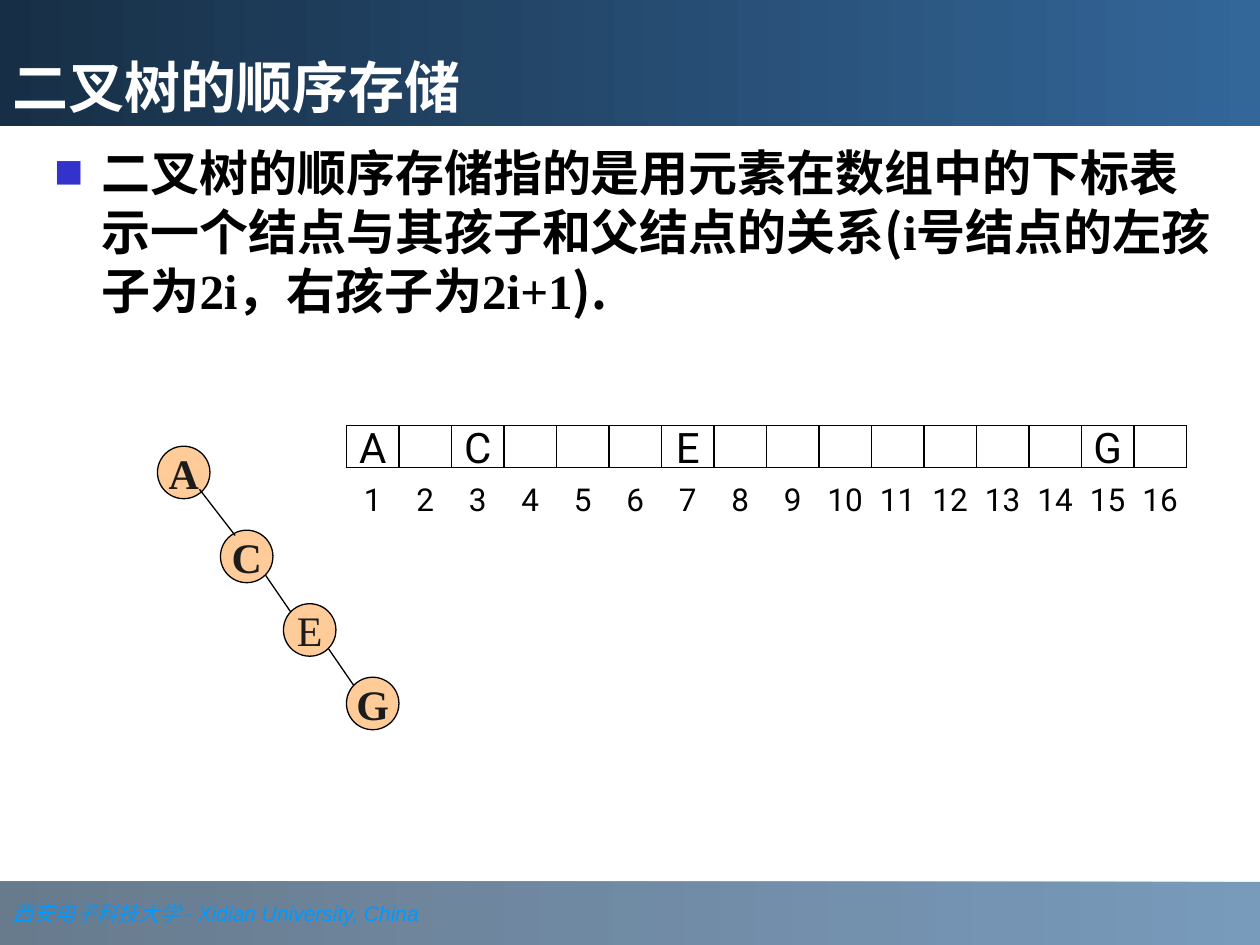
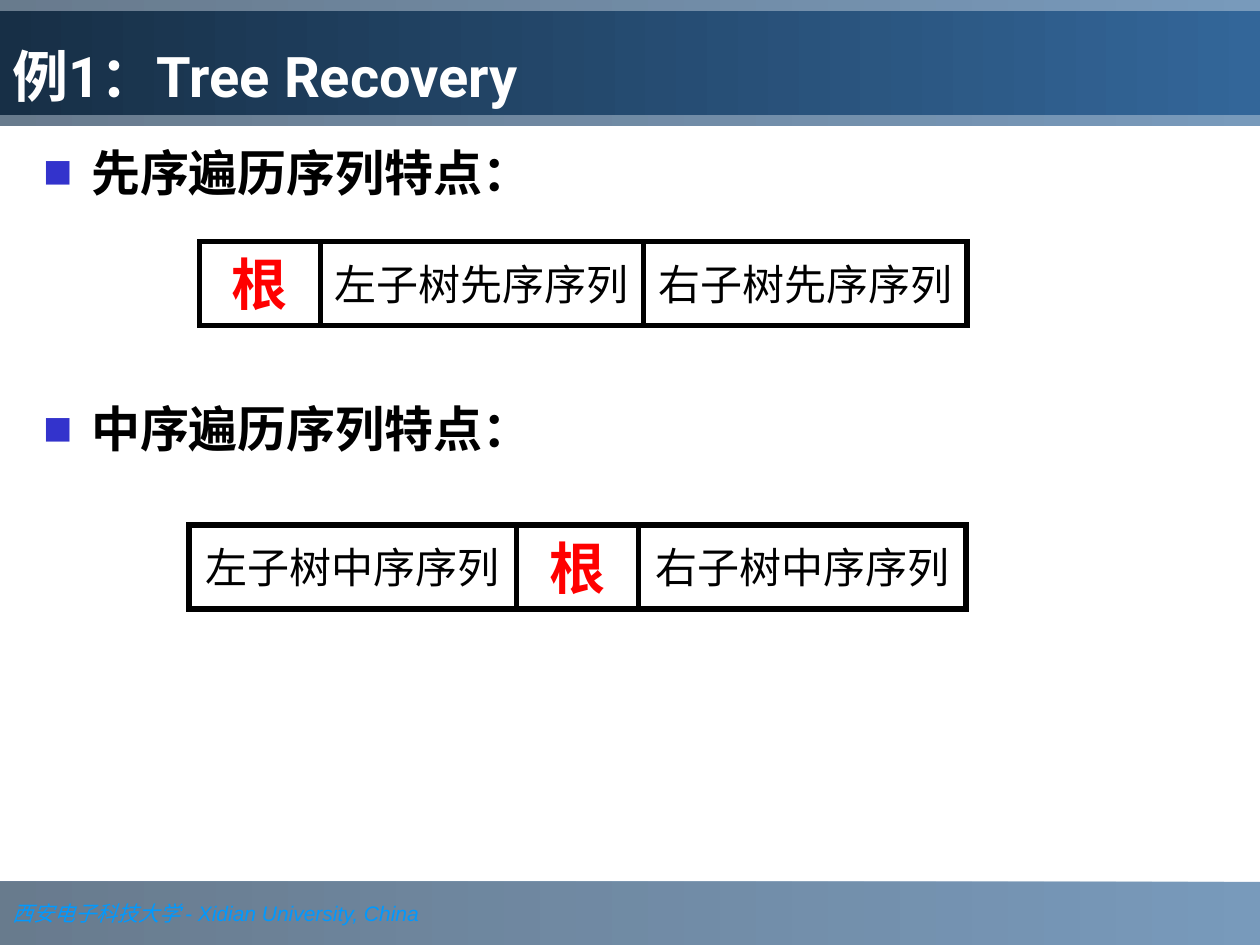
import pptx
import pptx.util
import pptx.dml.color
import pptx.enum.shapes
import pptx.enum.text
import pptx.oxml
import pptx.oxml.ns
from lxml import etree

RGB = pptx.dml.color.RGBColor
BLUE = RGB(0x33, 0x66, 0x99)
BAND_NAVY = RGB(0x1B, 0x37, 0x53)
TITLE_NAVY = RGB(0x17, 0x2F, 0x46)
FOOTER_BLUE = RGB(0x00, 0x99, 0xFF)
BULLET_BLUE = RGB(0x33, 0x33, 0xCC)
NODE_PEACH = RGB(0xFF, 0xCC, 0x99)
NODE_TEXT = RGB(0x1C, 0x1C, 0x1C)
BLACK = RGB(0, 0, 0)
WHITE = RGB(255, 255, 255)
RED = RGB(255, 0, 0)

SANS = "Roboto"
SERIF = "Times New Roman"
CJK = "Noto Sans CJK SC"

EMU_PER_PX = 7620  # 120 px to the inch
SLIDE_W, SLIDE_H = 1200, 900

SHAPE = pptx.enum.shapes.MSO_SHAPE
ALIGN = pptx.enum.text.PP_ALIGN
ANCHOR = pptx.enum.text.MSO_ANCHOR


def px(*lengths):
    return [pptx.util.Emu(length * EMU_PER_PX) for length in lengths]


def add_run(paragraph, text, size, font, color, bold=False, italic=False):
    run = paragraph.add_run()
    run.text = text
    run.font.size = pptx.util.Pt(size)
    run.font.name = font
    run.font.color.rgb = color
    run.font.bold = bold
    run.font.italic = italic


def fill_gradient(shape, right, left, opacity=100):
    """Blend from left to right; opacity is a percentage."""
    shape.fill.gradient()
    shape.fill.gradient_angle = 180
    for stop, color in zip(shape.fill.gradient_stops, (right, left)):
        stop.color.rgb = color
    if opacity < 100:
        for color in shape._element.spPr.iter(pptx.oxml.ns.qn("a:srgbClr")):
            alpha = etree.SubElement(color, pptx.oxml.ns.qn("a:alpha"))
            alpha.set("val", str(opacity * 1000))


def add_box(shapes, kind, box, fill=None, line_width=0.75):
    shape = shapes.add_shape(kind, *px(*box))
    shape.shadow.inherit = False
    if fill is None:
        shape.fill.background()
    else:
        shape.fill.solid()
        shape.fill.fore_color.rgb = fill
    shape.line.color.rgb = BLACK
    shape.line.width = pptx.util.Pt(line_width)
    miter = etree.SubElement(shape.line._get_or_add_ln(), pptx.oxml.ns.qn("a:miter"))
    miter.set("lim", "800000")
    return shape


def write_label(shape, text, size, font, color, bold=False):
    """Centre one line of text, with no side margins so that it fits narrow cells."""
    frame = shape.text_frame
    frame.word_wrap = False
    frame.margin_left = frame.margin_right = 0
    frame.vertical_anchor = ANCHOR.MIDDLE
    frame.paragraphs[0].alignment = ALIGN.CENTER
    add_run(frame.paragraphs[0], text, size, font, color, bold)


def add_band(slide, top, height):
    band = slide.shapes.add_shape(SHAPE.RECTANGLE, *px(0, top, SLIDE_W, height))
    band.shadow.inherit = False
    band.line.fill.background()
    fill_gradient(band, BLUE, BAND_NAVY, 66)
    return band


def add_titled_slide(deck, title_text, title_top, title_height):
    slide = deck.slides.add_slide(deck.slide_layouts[5])
    footer = add_band(slide, 840, 60).text_frame
    footer.word_wrap = False
    footer.vertical_anchor = ANCHOR.MIDDLE
    university = footer.paragraphs[0]
    university.alignment = ALIGN.LEFT
    add_run(university, "西安电子科技大学 ", 12, SERIF, FOOTER_BLUE, italic=True)
    add_run(university, "- Xidian University, China", 12, "Arial", FOOTER_BLUE, italic=True)
    add_band(slide, 0, 120)

    title = slide.shapes.title
    slide.shapes._spTree.append(title._element)  # in front of the bands
    title.left, title.top, title.width, title.height = px(0, title_top, SLIDE_W, title_height)
    fill_gradient(title, BLUE, TITLE_NAVY)
    frame = title.text_frame
    frame.auto_size = pptx.enum.text.MSO_AUTO_SIZE.NONE
    frame.vertical_anchor = ANCHOR.BOTTOM
    frame.paragraphs[0].alignment = ALIGN.LEFT
    add_run(frame.paragraphs[0], title_text, 32, SANS, WHITE, bold=True)
    return slide


def add_bullet(slide, box, runs, line_spacing=None):
    """Add one square-bulleted paragraph; runs holds (text, font) pairs."""
    frame = slide.shapes.add_textbox(*px(*box)).text_frame
    frame.word_wrap = True
    paragraph = frame.paragraphs[0]
    properties = paragraph._p.get_or_add_pPr()
    indent = 45 * EMU_PER_PX
    properties.set("marL", str(indent))
    properties.set("indent", str(-indent))
    namespace = pptx.oxml.ns.nsdecls("a")
    for element in (
        f'<a:buClr {namespace}><a:srgbClr val="{BULLET_BLUE}"/></a:buClr>',
        f'<a:buSzPct {namespace} val="60000"/>',
        f'<a:buFont {namespace} typeface="{CJK}"/>',
        f'<a:buChar {namespace} char="■"/>',
    ):
        properties.append(pptx.oxml.parse_xml(element))
    paragraph.line_spacing = line_spacing
    for text, font in runs:
        add_run(paragraph, text, 28, font, BLACK, bold=True)


def add_edge(slide, start, end):
    edge = slide.shapes.add_connector(
        pptx.enum.shapes.MSO_CONNECTOR.STRAIGHT, *px(*start, *end))
    edge.line.color.rgb = BLACK
    edge.line.width = pptx.util.Pt(0.75)
    etree.SubElement(edge._element.spPr, pptx.oxml.ns.qn("a:effectLst"))


def add_tree(slide):
    nodes = {"A": (150, 425), "C": (210, 505), "E": (270, 575), "G": (330, 645)}
    for letter, (left, top) in nodes.items():
        node = add_box(slide.shapes, SHAPE.OVAL, (left, top, 50, 50), NODE_PEACH)
        write_label(node, letter, 24, SERIF, NODE_TEXT, bold=letter != "E")
    for start, end in (
        ((190, 466), (224, 510)),
        ((253, 548), (277, 583)),
        ((313, 618), (337, 653)),
    ):
        add_edge(slide, start, end)


def add_array(slide, letters, length):
    """Draw array cells with their one-based indices below."""
    cells = slide.shapes.add_group_shape().shapes
    for index in range(1, length + 1):
        left = 330 + 50 * (index - 1)
        cell = add_box(cells, SHAPE.RECTANGLE, (left, 405, 50, 40))
        if index in letters:
            write_label(cell, letters[index], 24, SANS, BLACK)
        number = cells.add_textbox(*px(left, 455, 50, 40))
        write_label(number, str(index), 18, SANS, BLACK)


def add_sequence(slide, left, top, parts):
    """Draw adjoining boxes; parts holds (text, width) pairs."""
    boxes = slide.shapes.add_group_shape().shapes
    for text, width in parts:
        part = add_box(boxes, SHAPE.RECTANGLE, (left, top, width, 80), WHITE, 3)
        if text == "根":
            write_label(part, text, 32, SANS, RED, bold=True)
        else:
            write_label(part, text, 24, SANS, BLACK)
        left += width


def add_storage_slide(deck):
    slide = add_titled_slide(deck, "二叉树的顺序存储", 0, 120)
    add_bullet(slide, (40, 130, 1140, 216), [
        ("二叉树的顺序存储指的是用元素在数组中的下标表示一个结点与其孩子和父结点的关系(", CJK),
        ("i号结点的左孩子为2i，右孩子为2i+1", SERIF),
        (").", CJK),
    ])
    add_tree(slide)
    add_array(slide, {1: "A", 3: "C", 7: "E", 15: "G"}, 16)


def add_recovery_slide(deck):
    slide = add_titled_slide(deck, "例1：Tree Recovery", 10, 100)
    add_bullet(slide, (30, 130, 1130, 97), [("先序遍历序列特点：", SANS)])
    add_sequence(slide, 190, 230, [
        ("根", 115), ("左子树先序序列", 308), ("右子树先序序列", 308)])
    add_sequence(slide, 180, 500, [
        ("左子树中序序列", 312), ("根", 116), ("右子树中序序列", 312)])
    add_bullet(slide, (30, 380, 830, 80), [("中序遍历序列特点：", SANS)], 0.9)


def main():
    deck = pptx.Presentation()
    deck.slide_width, deck.slide_height = px(SLIDE_W, SLIDE_H)
    add_storage_slide(deck)
    add_recovery_slide(deck)
    deck.save("out.pptx")


if __name__ == "__main__":
    main()
